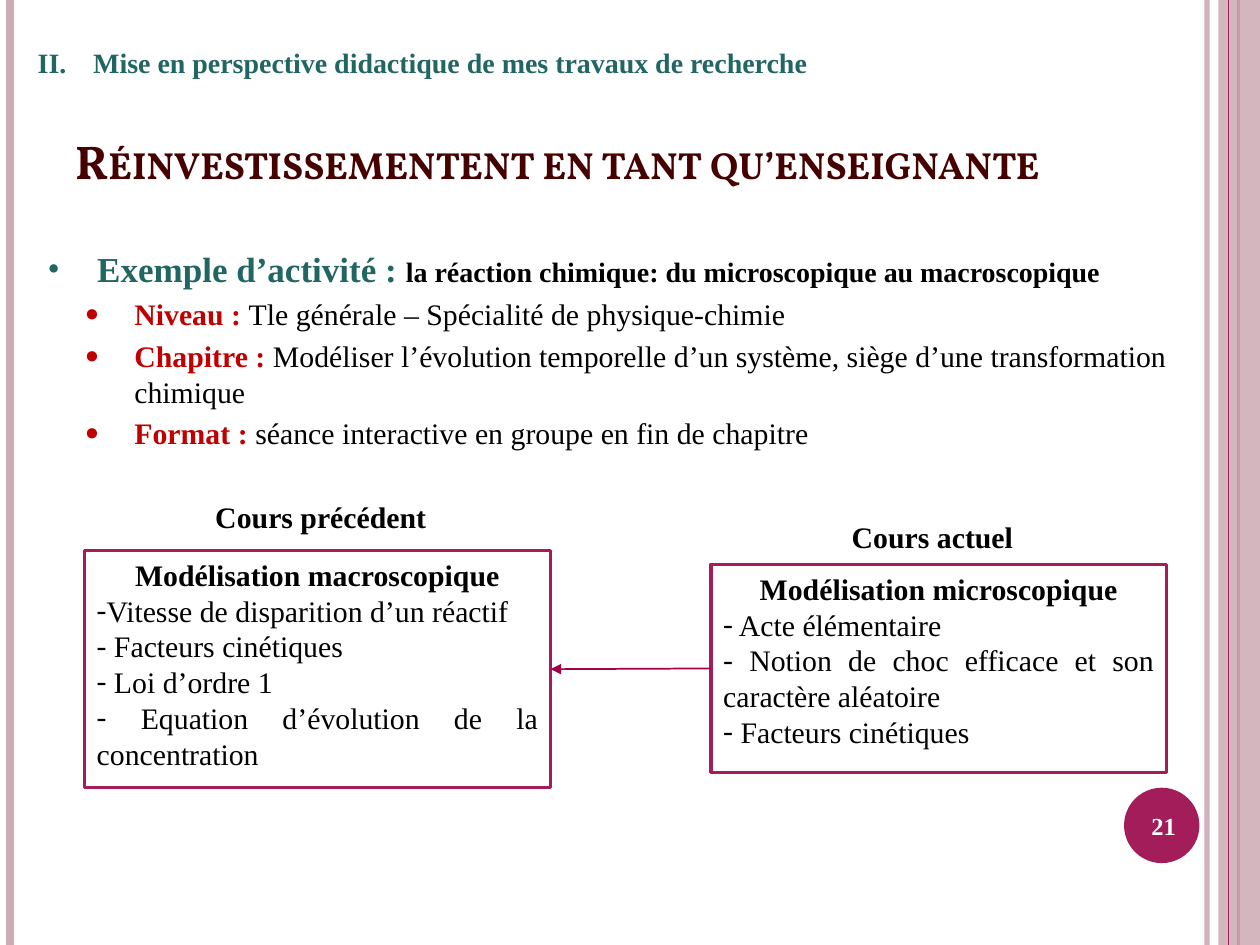
from lxml import etree
from pptx import Presentation
from pptx.dml.color import RGBColor
from pptx.enum.shapes import MSO_CONNECTOR, MSO_SHAPE
from pptx.enum.text import MSO_ANCHOR, MSO_AUTO_SIZE, PP_ALIGN
from pptx.oxml.ns import qn
from pptx.util import Cm, Pt

LINE = MSO_CONNECTOR.STRAIGHT
RECT, OVAL = MSO_SHAPE.RECTANGLE, MSO_SHAPE.OVAL
TOP, MID, LOW = MSO_ANCHOR.TOP, MSO_ANCHOR.MIDDLE, MSO_ANCHOR.BOTTOM
MIDDLE, JUST = PP_ALIGN.CENTER, PP_ALIGN.JUSTIFY
GROW = MSO_AUTO_SIZE.SHAPE_TO_FIT_TEXT

HUE = {"rose": "CEACB5", "plum": "A31D5A", "arrow": "A4004B",
       "teal": "226664", "red": "C00000", "wine": "460000",
       "black": "000000", "white": "FFFFFF"}
SERIF, HEAD = "Times New Roman", "Vollkorn"
WIDE, HIGH = 25.4, 19.05

# Content: places are left, top, width, height in cm
SECTION = "Mise en perspective didactique de mes travaux de recherche"
TITLE = "Réinvestissementent en tant qu’enseignante"
PAGE = "21"
TOPIC = ("Exemple d’activité : ",
         "la réaction chimique: du microscopique au macroscopique")
FACTS = [
    ("Niveau : ", "Tle générale – Spécialité de physique-chimie"),
    ("Chapitre :", " Modéliser l’évolution temporelle d’un système, "
                   "siège d’une transformation chimique"),
    ("Format : ", "séance interactive en groupe en fin de chapitre"),
]
COURSES = [
    {"label": "Cours précédent", "tag": (4.09, 9.93, 4.8, 0.99),
     "box": (1.7, 11.1, 9.4, 4.78), "head": "Modélisation macroscopique",
     "items": ["Vitesse de disparition d’un réactif", " Facteurs cinétiques",
               " Loi d’ordre 1", " Equation d’évolution de la concentration"]},
    {"label": "Cours actuel", "tag": (16.92, 10.34, 3.78, 0.99),
     "box": (14.33, 11.38, 9.19, 4.19), "head": "Modélisation microscopique",
     "items": [" Acte élémentaire",
               " Notion de choc efficace et son caractère aléatoire",
               " Facteurs cinétiques"]},
]
# Frame lines: x, colour, width, opacity in percent
BARS = [(24.33, "rose", 3, 93), (0.2, "rose", 4.5, 100),
        (24.97, "plum", 1.5, 100)]
INNER = (24.77, "plum", 0.75, 100)

deck = Presentation()
deck.slide_width, deck.slide_height = Cm(WIDE), Cm(HIGH)
slide = deck.slides.add_slide(deck.slide_layouts[6])
shapes = slide.shapes


def rgb(name):
    return RGBColor.from_string(HUE[name])


def fade(part, alpha):
    color = next(part.iter(qn("a:srgbClr")))
    etree.SubElement(color, qn("a:alpha"), val=str(alpha * 1000))


def link(x1, y1, x2, y2, color, width):
    line = shapes.add_connector(LINE, Cm(x1), Cm(y1), Cm(x2), Cm(y2))
    line.line.color.rgb = rgb(color)
    line.line.width = Pt(width)
    etree.SubElement(line._element.spPr, qn("a:effectLst"))
    return line


def bar(x, color, width, alpha):
    line = link(x, 0, x, HIGH, color, width)
    if alpha < 100:
        fade(line._element.spPr, alpha)


def block(kind, place, fill, edge=None):
    shape = shapes.add_shape(kind, *map(Cm, place))
    shape.shadow.inherit = False
    shape.fill.solid()
    shape.fill.fore_color.rgb = rgb(fill)
    if edge:
        shape.line.color.rgb = rgb(edge)
        shape.line.width = Pt(2)
    else:
        shape.line.fill.background()
    return shape


def text(place, anchor=TOP, wrap=True):
    frame = shapes.add_textbox(*map(Cm, place)).text_frame
    frame.word_wrap = wrap
    frame.vertical_anchor = anchor
    return frame


def style(run, size, color="black", bold=True, face=SERIF):
    font = run.font
    font.size, font.bold, font.name = Pt(size), bold, face
    font.color.rgb = rgb(color)


def write(para, words, *look):
    para.text = words
    style(para.runs[0], *look)


def bullet(para, mark, left=0, hang=0, color=None, scale=None):
    props = para._p.get_or_add_pPr()
    props.set("marL", str(Cm(left)))
    props.set("indent", str(-Cm(hang)))
    if color:
        tint = etree.SubElement(props, qn("a:buClr"))
        etree.SubElement(tint, qn("a:srgbClr"), val=HUE[color])
    if scale:
        etree.SubElement(props, qn("a:buSzPct"), val=str(scale * 1000))
    if mark == "II.":
        etree.SubElement(props, qn("a:buAutoNum"),
                         type="romanUcPeriod", startAt="2")
    else:
        etree.SubElement(props, qn("a:buFont"), typeface=SERIF)
        etree.SubElement(props, qn("a:buChar"), char=mark)


# Frame and page badge
for row in BARS:
    bar(*row)
band = block(RECT, (24.56, 0, WIDE - 24.56, HIGH), "rose")
fade(band._element.spPr, 87)
bar(*INNER)
block(OVAL, (22.66, 15.88, 1.52, 1.52), "plum")
para = text((22.61, 15.93, 1.7, 1.45), MID).paragraphs[0]
write(para, PAGE, 14, "white")
para.alignment = MIDDLE

# Section and title
para = text((0.51, 0.74, 22.2, 1.02), MID).paragraphs[0]
bullet(para, "II.", 1.12, 1.12, "teal")
write(para, SECTION, 16, "teal")
para = text((1.27, 2.13, 20.75, 1.8), LOW).paragraphs[0]
write(para, TITLE, 27, "wine", True, HEAD)
para.runs[0].font._element.set("cap", "small")

# Activity
body = text((0.71, 4.45, 23.39, 13.54))
para = body.paragraphs[0]
bullet(para, "•", 1, 1, "teal")
para.line_spacing = 1.5
for words, size, color in zip(TOPIC, (20, 16), ("teal", "black")):
    run = para.add_run()
    run.text = words
    style(run, size, color)
for name, value in FACTS:
    para = body.add_paragraph()
    bullet(para, "●", 1.75, 1, "red", 80)
    para.space_before = Pt(3.4)
    for words, color, bold in ((name, "red", True), (value, "black", False)):
        run = para.add_run()
        run.text = words
        style(run, 17, color, bold)

# Courses
boxes = []
for course in COURSES:
    tag = text(course["tag"], wrap=False)
    tag.auto_size = GROW
    write(tag.paragraphs[0], course["label"], 17)
    box = block(RECT, course["box"], "white", "plum")
    frame = box.text_frame
    frame.word_wrap = True
    frame.vertical_anchor = TOP
    write(frame.paragraphs[0], course["head"], 17)
    frame.paragraphs[0].alignment = MIDDLE
    for item in course["items"]:
        para = frame.add_paragraph()
        bullet(para, "-")
        write(para, item, 17, "black", False)
        para.alignment = JUST
    boxes.append(box)

# Arrow from the current course back to the previous one
arrow = link(11.1, 13.49, 14.33, 13.49, "arrow", 1)
arrow.begin_connect(boxes[0], 3)
arrow.end_connect(boxes[1], 1)
etree.SubElement(arrow.line._get_or_add_ln(), qn("a:headEnd"), type="triangle")

deck.save("out.pptx")
